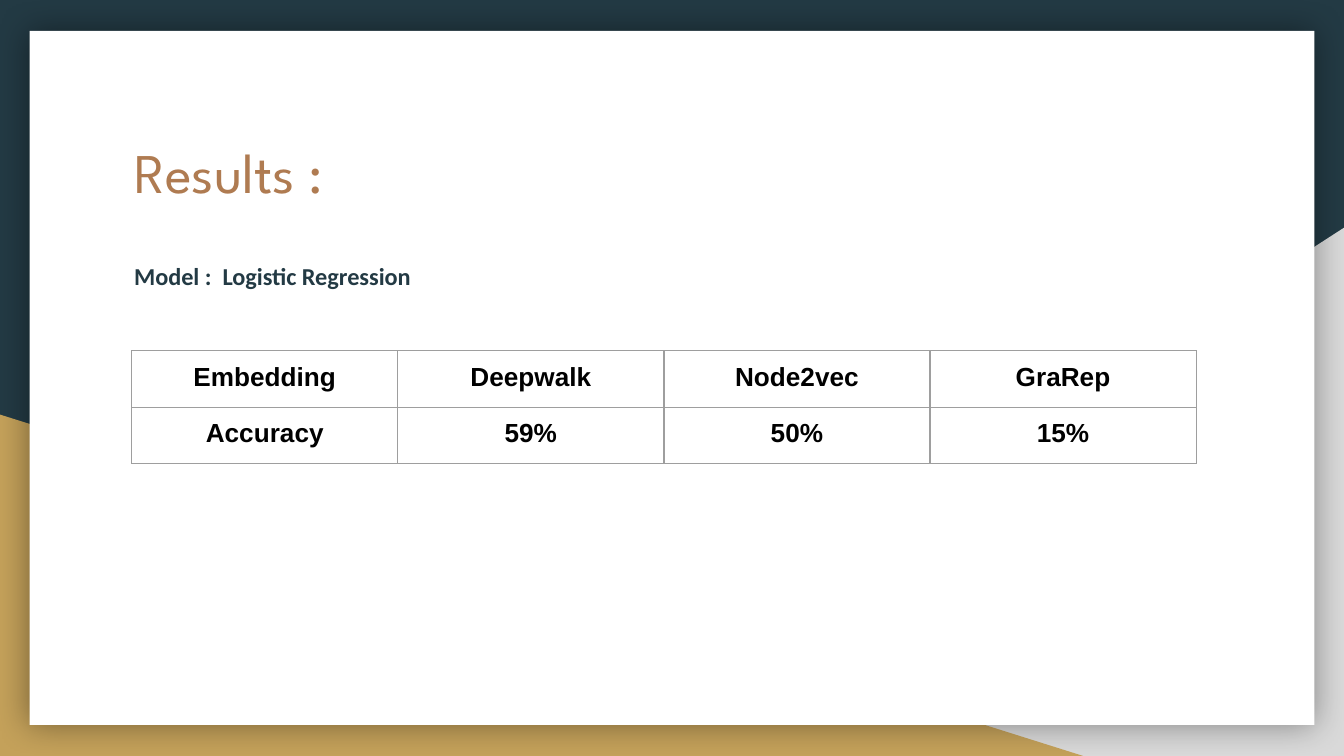
from dataclasses import dataclass

from pptx import Presentation
from pptx.dml.color import RGBColor
from pptx.enum.shapes import MSO_SHAPE
from pptx.enum.text import MSO_ANCHOR, PP_ALIGN
from pptx.oxml import parse_xml
from pptx.oxml.ns import nsdecls, qn
from pptx.util import Inches, Pt

TITLE = "Results :"
MODEL = "Model :  Logistic Regression"
SCORES = [
    ("Embedding", "Deepwalk", "Node2vec", "GraRep"),
    ("Accuracy", "59%", "50%", "15%"),
]


@dataclass(frozen=True)
class Theme:
    navy: str = "233A44"
    gold: str = "C4A15A"
    gray: str = "D9D9D9"
    white: str = "FFFFFF"
    # font name, size, colour, bold
    title: tuple = ("League Spartan", 30, "AF7B51", False)
    model: tuple = ("Calibri", 13, "233A44", True)
    cell: tuple = ("Arial", 14, "000000", True)
    rule: str = "9E9E9E"
    rule_pt: float = 0.75


THEME = Theme()
WIDE = 10
HIGH = WIDE * 9 / 16
SIDE, TOP = 0.22, 0.23
LEFT, SPAN, PAD = 0.9, 8.21, 0.1
GRID_X, GRID_Y, COL, ROW, CELL_PAD = 0.98, 2.61, 1.98, 0.42, 0.09


def color(code):
    return RGBColor.from_string(code)


def style(frame, look, align=PP_ALIGN.LEFT):
    name, size, code, bold = look
    for para in frame.paragraphs:
        para.alignment = align
        for run in para.runs:
            font = run.font
            font.name, font.size, font.bold = name, Pt(size), bold
            font.color.rgb = color(code)


def inset(frame):
    frame.margin_left = frame.margin_right = Inches(PAD)
    frame.margin_top = frame.margin_bottom = Inches(PAD)
    frame.word_wrap = True
    frame.vertical_anchor = MSO_ANCHOR.TOP


def block(slide, kind, box, code):
    """Add a plain filled shape without line or shadow."""
    shape = slide.shapes.add_shape(kind, *map(Inches, box))
    shape.shadow.inherit = False
    shape.fill.solid()
    shape.fill.fore_color.rgb = color(code)
    shape.line.fill.background()
    return shape


def glow(shape, blur, alpha):
    """Put an even soft black shadow around the shape."""
    effects = shape.element.spPr.find(qn("a:effectLst"))
    effects.append(parse_xml(
        f'<a:outerShdw {nsdecls("a")} blurRad="{Pt(blur)}" dist="0" dir="0" '
        'algn="ctr" rotWithShape="0"><a:srgbClr val="000000">'
        f'<a:alpha val="{alpha * 1000}"/></a:srgbClr></a:outerShdw>'))


def border(cell):
    props = cell._tc.get_or_add_tcPr()
    for index, side in enumerate(("lnL", "lnR", "lnT", "lnB")):
        line = parse_xml(
            f'<a:{side} {nsdecls("a")} w="{Pt(THEME.rule_pt)}"><a:solidFill>'
            f'<a:srgbClr val="{THEME.rule}"/></a:solidFill></a:{side}>')
        props.insert(index, line)


def backdrop(slide):
    fill = slide.background.fill
    fill.solid()
    fill.fore_color.rgb = color(THEME.navy)
    wide, high = 6.08, 3.93
    right = block(slide, MSO_SHAPE.RIGHT_TRIANGLE,
                  (WIDE - wide, HIGH - high, wide, high), THEME.gray)
    right.element.spPr.xfrm.set("flipH", "1")
    wide, high = 8.06, 2.54
    block(slide, MSO_SHAPE.RIGHT_TRIANGLE,
          (0, HIGH - high, wide, high), THEME.gold)
    card = block(slide, MSO_SHAPE.RECTANGLE,
                 (SIDE, TOP, WIDE - 2 * SIDE, HIGH - 2 * TOP), THEME.white)
    glow(card, 18, 40)


def heading(slide):
    title = slide.shapes.title
    title.left, title.top = Inches(LEFT), Inches(0.92)
    title.width, title.height = Inches(SPAN), Inches(1.04)
    title.text_frame.text = TITLE
    inset(title.text_frame)
    style(title.text_frame, THEME.title)
    # The title placeholder exists first, so lift it above the card.
    slide.shapes.element.append(title.element)


def caption(slide):
    box = slide.shapes.add_textbox(
        Inches(LEFT), Inches(1.81), Inches(SPAN), Inches(3.05))
    frame = box.text_frame
    frame.text = MODEL
    inset(frame)
    frame.paragraphs[0].line_spacing = 1.15
    style(frame, THEME.model)


def results(slide):
    rows, cols = len(SCORES), len(SCORES[0])
    table = slide.shapes.add_table(
        rows, cols, Inches(GRID_X), Inches(GRID_Y),
        Inches(cols * COL), Inches(rows * ROW)).table
    table.first_row = table.horz_banding = False
    for r, row in enumerate(SCORES):
        for c, text in enumerate(row):
            cell = table.cell(r, c)
            cell.text_frame.text = text
            cell.margin_left = cell.margin_right = Inches(PAD)
            cell.margin_top = cell.margin_bottom = Inches(CELL_PAD)
            cell.fill.background()
            border(cell)
            style(cell.text_frame, THEME.cell, PP_ALIGN.CENTER)


def main():
    deck = Presentation()
    deck.slide_width, deck.slide_height = Inches(WIDE), Inches(HIGH)
    slide = deck.slides.add_slide(deck.slide_layouts[5])
    backdrop(slide)
    heading(slide)
    caption(slide)
    results(slide)
    deck.save("out.pptx")


if __name__ == "__main__":
    main()
